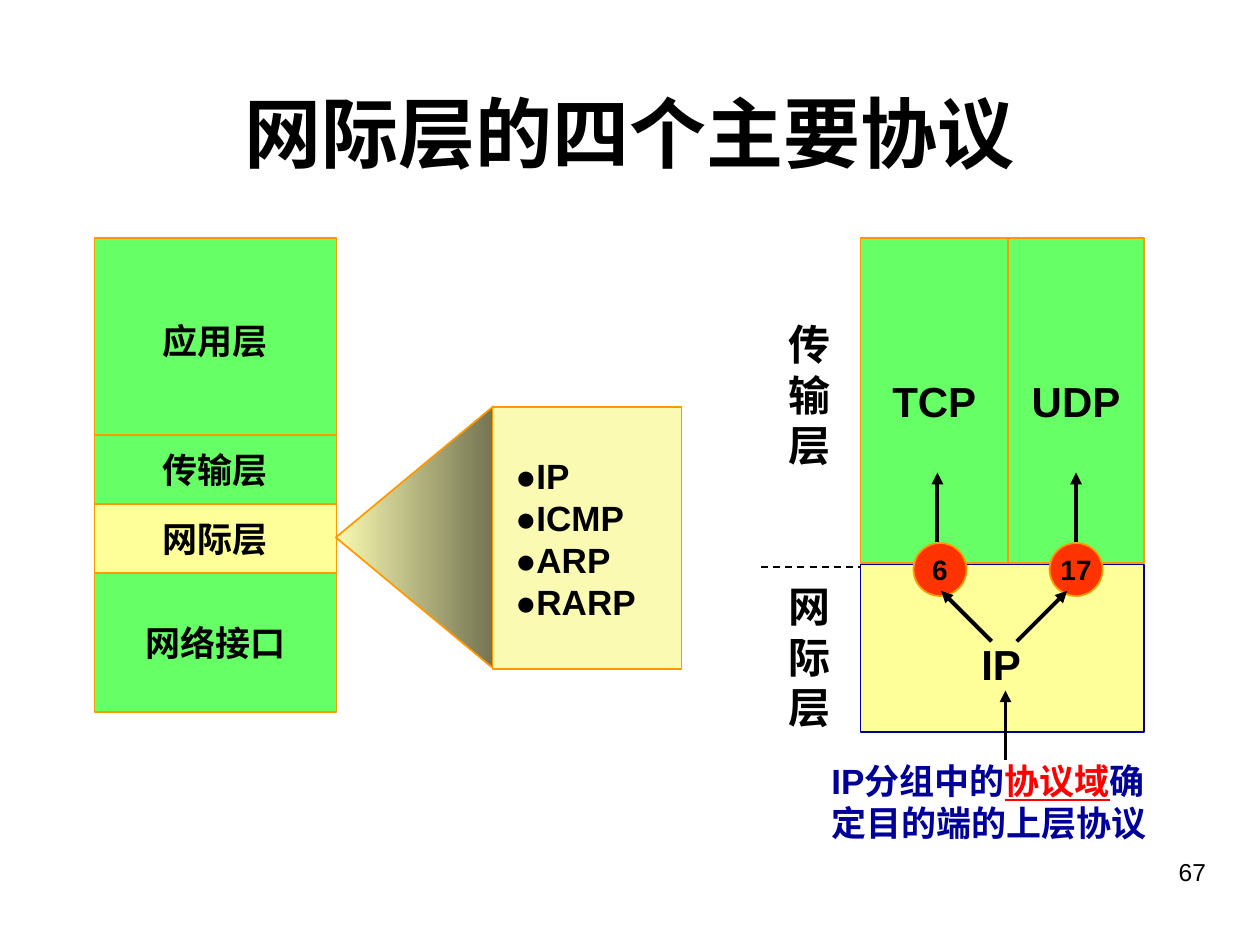
from dataclasses import dataclass

from lxml.etree import SubElement
from pptx import Presentation
from pptx.dml.color import RGBColor
from pptx.enum.dml import MSO_LINE
from pptx.enum.shapes import MSO_CONNECTOR, MSO_SHAPE
from pptx.enum.text import MSO_ANCHOR, PP_ALIGN
from pptx.oxml.ns import qn
from pptx.util import Inches, Pt

BLACK, NAVY, RED = "000000", "000099", "FF0000"
GREEN, YELLOW, CREAM = "66FF66", "FFFF99", "FAFAB2"
ORANGE, SCARLET, OLIVE = "FF9900", "FF3300", "747452"


@dataclass
class Block:
    left: float
    top: float
    width: float
    height: float
    text: str = ""
    fill: str = GREEN
    line: str = ORANGE
    size: float = 20
    shape: MSO_SHAPE = MSO_SHAPE.RECTANGLE
    align: PP_ALIGN = PP_ALIGN.CENTER
    inset: float = 0.1


@dataclass
class Label:
    left: float
    top: float
    width: float
    height: float
    spans: list[tuple[str, str]]
    size: float = 24
    bold: bool = True
    align: PP_ALIGN = PP_ALIGN.LEFT


@dataclass
class Arrow:
    start: tuple[float, float]
    end: tuple[float, float]


def color(value: str) -> RGBColor:
    return RGBColor.from_string(value)


def format_span(span, size: float, value: str = BLACK, bold: bool = True) -> None:
    span.font.name = "Arial"
    span.font.size = Pt(size)
    span.font.bold = bold
    span.font.color.rgb = color(value)


def draw_block(page, block: Block):
    box = page.shapes.add_shape(
        block.shape, Inches(block.left), Inches(block.top), Inches(block.width), Inches(block.height)
    )
    box.shadow.inherit = False
    box.fill.solid()
    box.fill.fore_color.rgb = color(block.fill)
    box.line.color.rgb = color(block.line)
    box.line.width = Pt(1)
    if block.text:
        frame = box.text_frame
        frame.text = block.text
        frame.word_wrap = False
        frame.vertical_anchor = MSO_ANCHOR.MIDDLE
        frame.margin_left = Inches(block.inset)
        for para in frame.paragraphs:
            para.alignment = block.align
            for span in para.runs:
                format_span(span, block.size)
    return box


def draw_label(page, label: Label) -> None:
    box = page.shapes.add_textbox(
        Inches(label.left), Inches(label.top), Inches(label.width), Inches(label.height)
    )
    box.text_frame.word_wrap = True
    para = box.text_frame.paragraphs[0]
    para.alignment = label.align
    for text, value in label.spans:
        span = para.add_run()
        span.text = text
        format_span(span, label.size, value, label.bold)
        if value == RED:
            span.font.underline = True


def draw_line(page, start: tuple[float, float], end: tuple[float, float], width: float):
    line = page.shapes.add_connector(
        MSO_CONNECTOR.STRAIGHT, *(Inches(value) for value in start + end)
    )
    line.line.color.rgb = color(BLACK)
    line.line.width = Pt(width)
    SubElement(line._element.spPr, qn("a:effectLst"))
    return line


def draw_arrow(page, arrow: Arrow) -> None:
    line = draw_line(page, arrow.start, arrow.end, 2.25)
    SubElement(line.line._get_or_add_ln(), qn("a:tailEnd"), type="triangle")


def draw_title(page, text: str) -> None:
    title = page.shapes.title
    title.left, title.top = Inches(0.33), Inches(0.42)
    title.width, title.height = Inches(9.34), Inches(1.25)
    title.text_frame.text = text
    title.text_frame.vertical_anchor = MSO_ANCHOR.MIDDLE
    para = title.text_frame.paragraphs[0]
    para.alignment = PP_ALIGN.CENTER
    format_span(para.runs[0], 44)


def draw_callout(page) -> None:
    wedge = draw_block(page, Block(2.25, 3.64, 2.08, 1.25, shape=MSO_SHAPE.ISOSCELES_TRIANGLE))
    wedge.rotation = 270
    wedge.fill.gradient()
    wedge.fill.gradient_angle = 0
    for stop, value in zip(wedge.fill.gradient_stops, (CREAM, OLIVE)):
        stop.color.rgb = color(value)
    wedge._element.spPr.find(qn("a:gradFill")).set("rotWithShape", "0")
    protocols = "\n".join(f"●{name}" for name in ("IP", "ICMP", "ARP", "RARP"))
    draw_block(page, Block(3.91, 3.23, 1.5, 2.08, protocols, CREAM, align=PP_ALIGN.LEFT, inset=0.18))


def main() -> None:
    deck = Presentation()
    deck.slide_width, deck.slide_height = Inches(10), Inches(7.5)
    page = deck.slides.add_slide(deck.slide_layouts[5])
    draw_title(page, "网际层的四个主要协议")

    layers = [
        ("应用层", 1.89, 1.62, GREEN),
        ("传输层", 3.45, 0.55, GREEN),
        ("网络接口", 4.55, 1.1, GREEN),
        ("网际层", 4, 0.55, YELLOW),
    ]
    for name, top, height, fill in layers:
        draw_block(page, Block(0.75, top, 1.92, height, name, fill))
    draw_callout(page)

    draw_block(page, Block(6.83, 4.48, 2.25, 1.33, fill=YELLOW, line=NAVY))
    for name, left, width in (("TCP", 6.83, 1.17), ("UDP", 8, 1.08)):
        draw_block(page, Block(left, 1.89, width, 2.58, name, size=24))
    for number, left in (("6", 7.25), ("17", 8.33)):
        draw_block(page, Block(left, 4.31, 0.42, 0.42, number, SCARLET, size=16, shape=MSO_SHAPE.OVAL))

    boundary = draw_line(page, (6.04, 4.5), (6.83, 4.5), 1)
    boundary.line.dash_style = MSO_LINE.DASH

    labels = [
        Label(7.69, 5.02, 0.67, 0.5, [("IP", BLACK)]),
        Label(6.16, 2.48, 0.5, 1.3, [("传输层", BLACK)]),
        Label(6.16, 4.56, 0.58, 1.3, [("网际层", BLACK)]),
        Label(6.5, 5.98, 2.83, 0.77,
              [("IP分组中的", NAVY), ("协议域", RED), ("确定目的端的上层协议", NAVY)], 20),
        Label(7.17, 6.75, 2.5, 0.52, [("67", BLACK)], 14, False, PP_ALIGN.RIGHT),
    ]
    for label in labels:
        draw_label(page, label)

    arrows = [
        Arrow((7.98, 6.03), (7.98, 5.48)),
        Arrow((7.87, 5.09), (7.47, 4.69)),
        Arrow((8.07, 5.09), (8.47, 4.69)),
        Arrow((7.44, 4.3), (7.44, 3.75)),
        Arrow((8.54, 4.3), (8.54, 3.75)),
    ]
    for arrow in arrows:
        draw_arrow(page, arrow)

    deck.save("out.pptx")


if __name__ == "__main__":
    main()
